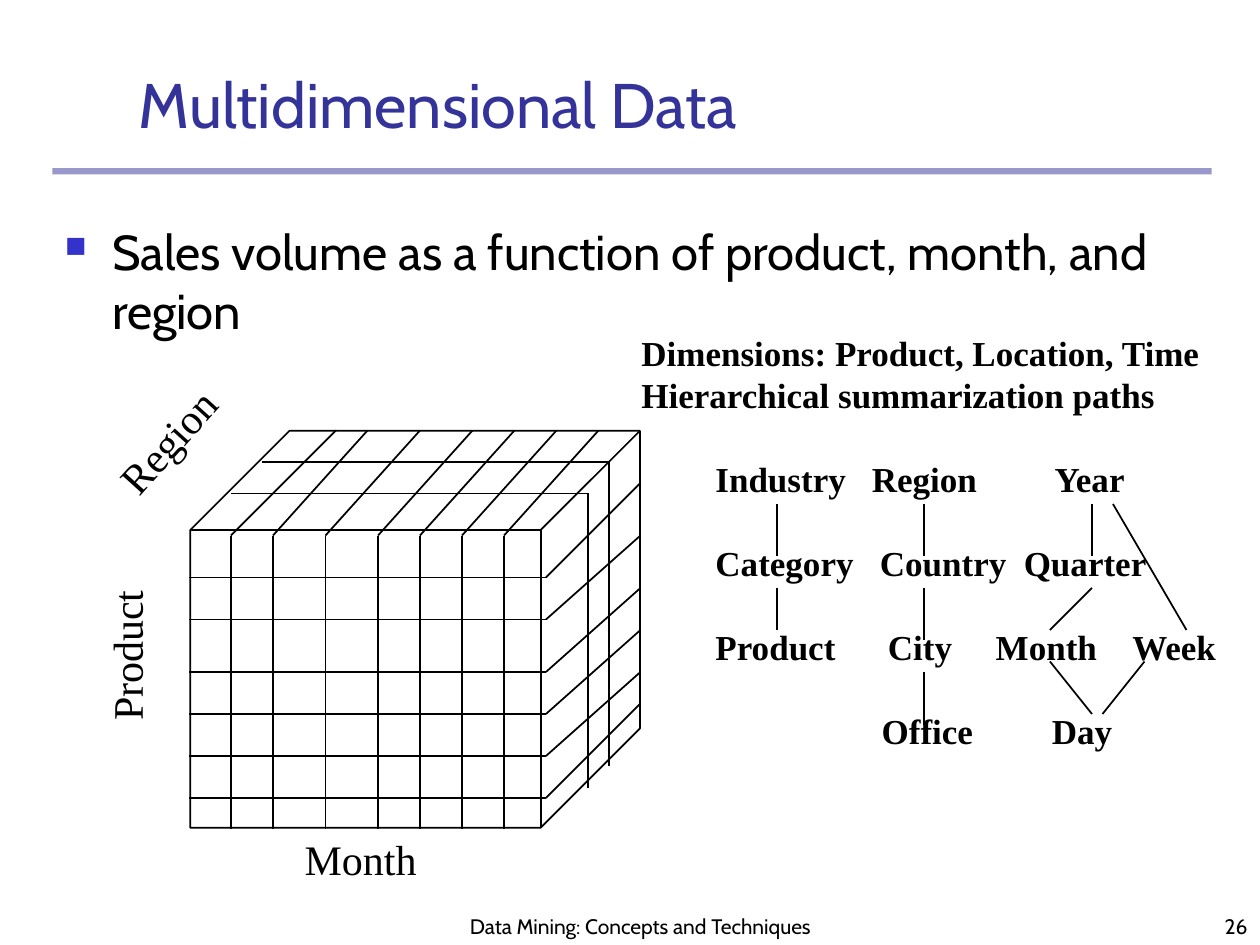
from pptx import Presentation
from pptx.dml.color import RGBColor
from pptx.enum.shapes import MSO_CONNECTOR, MSO_SHAPE
from pptx.enum.text import MSO_ANCHOR as ANCHOR, MSO_AUTO_SIZE as AUTO, PP_ALIGN as ALIGN
from pptx.oxml.ns import qn
from pptx.util import Pt
from lxml.etree import SubElement

COLORS = {"title": "333399", "text": "000000", "bullet": "3333CC", "line": "000000"}
SANS, SERIF = "Cabin", "Times New Roman"
LINE_WIDTH = 0.99

TITLE = "Multidimensional Data"
STATEMENT = "Sales volume as a function of product, month, and region"
DIMENSIONS = ["Dimensions: Product, Location, Time", "Hierarchical summarization paths"]
FOOTER, PAGE = "Data Mining: Concepts and Techniques", "26"

# Axis label: text, frame, rotation
AXES = [
    ("Product", (27.4, 356.4, 89.3, 36), 270),
    ("Region", (54, 234, 83.5, 36), 312),
    ("Month", (167, 473, 78.5, 36), 0),
]

# Cube: front face runs from LEFT to RIGHT and TOP to BOTTOM
LEFT, RIGHT, BACK_TOP, TOP, BOTTOM = 108, 312, 246, 306, 474
CUBE = (108.7, 246.2, 257, 226.8)
DEPTH = 54
COLUMNS = [(132, 60)] + [(x, DEPTH) for x in (156, 186, 216, 240, 264, 288)]
ROWS = [(330, 54), (354, 48), (384, 48), (408, 48), (432, 48), (456, 54)]
LAYERS = [(150, 348, 264, 438), (132, 336, 282, 450)]

# Hierarchy levels: (word, left edge)
LEVELS = [
    [("Industry", 408.8), ("Region", 498.2), ("Year", 602.6)],
    [("Category", 408.8), ("Country", 502.8), ("Quarter", 585)],
    [("Product", 408.8), ("City", 507.4), ("Month", 569), ("Week", 647)],
    [("Office", 503.8), ("Day", 601)],
]
LEVEL_TOP, LEVEL_PITCH = 261.4, 48
PATHS = [
    (444, 288, 444, 318), (444, 336, 444, 360),
    (528, 288, 528, 318), (528, 336, 528, 366), (528, 384, 528, 414),
    (624, 288, 624, 318), (624, 336, 600, 360), (636, 288, 678, 360),
    (600, 378, 624, 408), (654, 378, 630, 408),
]


def rgb(name):
    """Return the named colour."""
    return RGBColor.from_string(COLORS[name])


def place(shape, frame):
    """Move and size a shape in points."""
    shape.left, shape.top, shape.width, shape.height = map(Pt, frame)


def write(shape, lines, size=20, font=SERIF, color="text", bold=False,
          align=ALIGN.LEFT, anchor=ANCHOR.TOP, wrap=True, inset=True):
    """Fill a shape with formatted paragraphs and return its text frame."""
    frame = shape.text_frame
    frame.auto_size, frame.word_wrap, frame.vertical_anchor = AUTO.NONE, wrap, anchor
    frame.margin_left = frame.margin_right = Pt(7.2 if inset else 0)
    frame.margin_top = frame.margin_bottom = Pt(3.6 if inset else 0)
    frame.text = "\n".join(lines)
    for paragraph in frame.paragraphs:
        paragraph.alignment = align
        style = paragraph.runs[0].font
        style.size, style.name, style.bold = Pt(size), font, bold
        style.color.rgb = rgb(color)
    return frame


def add_text(lines, frame, **style):
    """Add a text box; return the box."""
    box = slide.shapes.add_textbox(*map(Pt, frame))
    write(box, lines, **style)
    return box


def add_line(x1, y1, x2, y2):
    """Draw a thin straight line."""
    line = slide.shapes.add_connector(MSO_CONNECTOR.STRAIGHT, *map(Pt, (x1, y1, x2, y2)))
    line.line.color.rgb, line.line.width = rgb("line"), Pt(LINE_WIDTH)
    SubElement(line._element.spPr, qn("a:effectLst"))


def add_bullet(paragraph):
    """Give a paragraph a small square bullet with a hanging indent."""
    paragraph.space_before = Pt(7)
    props = paragraph._p.get_or_add_pPr()
    props.set("marL", str(Pt(27)))
    props.set("indent", str(-Pt(27)))
    color = SubElement(props, qn("a:buClr"))
    SubElement(color, qn("a:srgbClr"), val=COLORS["bullet"])
    SubElement(props, qn("a:buSzPct"), val="60000")
    SubElement(props, qn("a:buChar"), char="■")


def add_heading():
    """Build the title, its rule and the bulleted statement."""
    title = slide.shapes.title
    place(title, (72, 30, 613.4, 54))
    write(title, [TITLE], size=36, font=SANS, color="title", anchor=ANCHOR.BOTTOM)
    rule = slide.shapes.add_shape(MSO_SHAPE.RECTANGLE, *map(Pt, (30, 96, 662.4, 3.6)))
    rule.shadow.inherit = False
    rule.line.fill.background()
    rule.fill.solid()
    rule.fill.fore_color.rgb = rgb("title")
    SubElement(rule._element.spPr.find(".//" + qn("a:srgbClr")), qn("a:alpha"), val="50000")
    statement = add_text([STATEMENT], (30, 123, 654, 360), size=28, font=SANS)
    add_bullet(statement.text_frame.paragraphs[0])


def add_cube():
    """Draw the data cube with its grid and axis labels."""
    cube = slide.shapes.add_shape(MSO_SHAPE.CUBE, *map(Pt, CUBE))
    cube.shadow.inherit = False
    cube.fill.background()
    cube.line.color.rgb, cube.line.width = rgb("line"), Pt(LINE_WIDTH)
    for y, rise in ROWS:
        add_line(LEFT, y, RIGHT, y)
        add_line(RIGHT, y, RIGHT + DEPTH, y - rise)
    for x, shift in COLUMNS:
        add_line(x, TOP, x, BOTTOM)
        add_line(x, TOP, x + shift, BACK_TOP)
    for left, right, top, bottom in LAYERS:
        add_line(left, top, right, top)
        add_line(right, top, right, bottom)
    for label, frame, angle in AXES:
        add_text([label], frame, size=24, wrap=False).rotation = angle


def add_hierarchies():
    """Write the summarization levels and join them."""
    add_text(DIMENSIONS, (359.4, 186, 345, 55.4), bold=True)
    for level, words in enumerate(LEVELS):
        for word, left in words:
            add_text([word], (left, LEVEL_TOP + level * LEVEL_PITCH, 90 if left < 620 else 60, 24),
                     bold=True, inset=False)
    for path in PATHS:
        add_line(*path)


deck = Presentation()
deck.slide_width, deck.slide_height = Pt(720), Pt(540)
slide = deck.slides.add_slide(deck.slide_layouts[5])
add_heading()
add_cube()
add_hierarchies()
small = dict(size=12, font=SANS, anchor=ANCHOR.BOTTOM)
add_text([FOOTER], (252, 498, 228, 42), align=ALIGN.CENTER, **small)
add_text([PAGE], (570, 504, 150, 36), align=ALIGN.RIGHT, **small)
deck.save("out.pptx")
